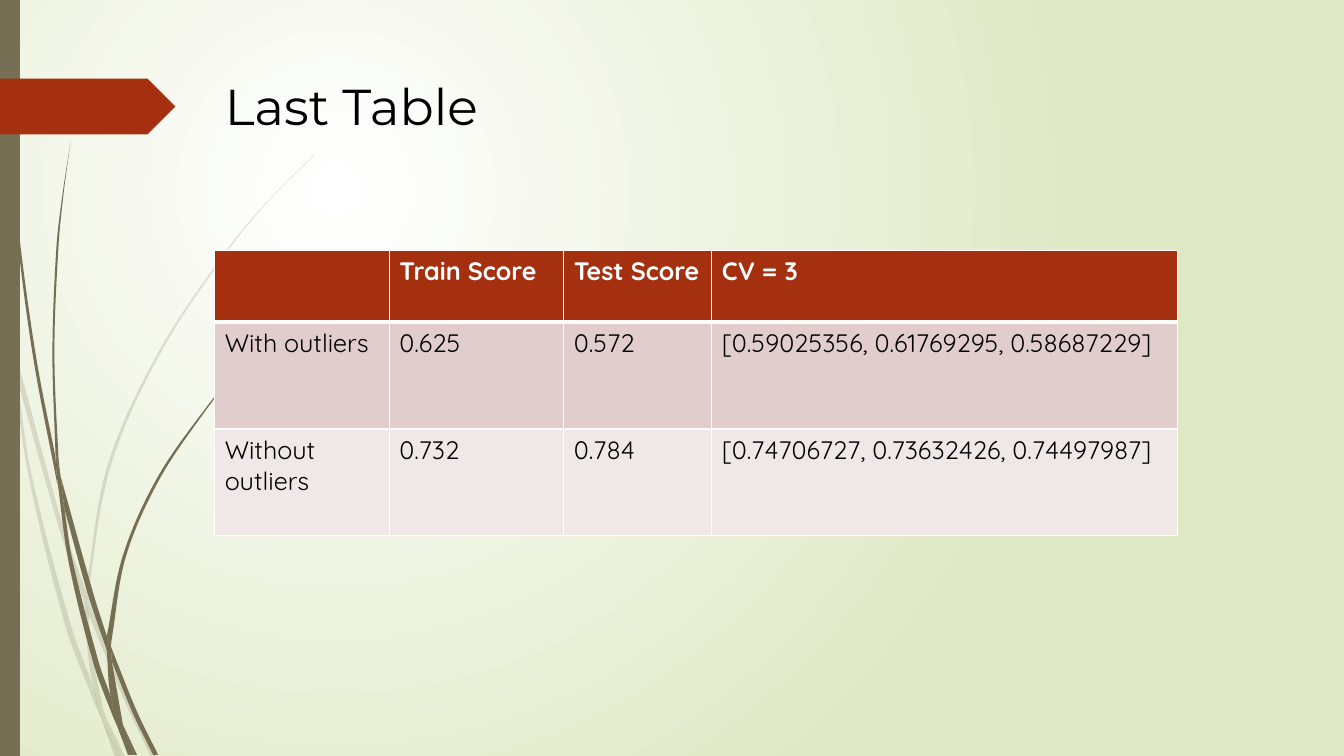
import math
from dataclasses import dataclass

from lxml import etree
from pptx import Presentation
from pptx.dml.color import RGBColor
from pptx.enum.shapes import MSO_SHAPE
from pptx.enum.text import MSO_ANCHOR, MSO_AUTO_SIZE, PP_ALIGN
from pptx.oxml.ns import qn
from pptx.util import Cm, Pt

RECTANGLE = MSO_SHAPE.RECTANGLE
ARROW = MSO_SHAPE.PENTAGON
TOP = MSO_ANCHOR.TOP
LEFT = PP_ALIGN.LEFT
GROW = MSO_AUTO_SIZE.SHAPE_TO_FIT_TEXT
TITLE_ONLY = 5
SLIDE_WIDTH, SLIDE_HEIGHT = 33.87, 19.05
GRASS_UNIT = 2.54  # centimetres per unit of the grass points


@dataclass(frozen=True)
class Theme:
    text: str = "000000"
    white: str = "FFFFFF"
    background: str = "DFE8C4"
    olive: str = "766F54"
    rust: str = "A53010"
    bands: tuple = ("E1CDCC", "F0E8E7")
    title_font: str = "Montserrat"
    body_font: str = "Quicksand"
    title_size: int = 36
    body_size: int = 18


# Grass pieces: two smooth edges each, walked around the outline
PALE_GRASS = [
    ([(0.11, 3.5), (0.09, 3.22), (0, 2.82)], [(0, 2.99), (0.1, 3.44)]),
    ([(0.17, 3.76), (0.58, 5.22), (0.84, 5.99)], [(0.85, 5.86), (0.62, 5.2), (0.14, 3.45)]),
    ([(0.88, 6.1), (1.23, 6.94), (1.5, 7.51)],
     [(1.55, 7.51), (1.27, 6.92), (0.92, 6.07), (0.88, 5.96)]),
    ([(1.05, 7.11), (1.19, 7.51)], [(1.24, 7.51)]),
    ([(0.11, 3.5), (0.28, 4.7), (0.65, 6.21), (0.92, 6.93), (1.01, 7.14)],
     [(0.99, 7.07), (0.93, 6.83), (0.7, 6.19), (0.31, 4.69), (0.17, 3.76)]),
    ([(0.84, 5.99), (0.87, 6.46), (0.93, 6.83), (1.05, 7.11)],
     [(1.03, 7.06), (0.91, 6.46), (0.88, 6.08)]),
    ([(3.12, 1.53), (2.68, 1.97), (2.28, 2.44), (1.58, 3.48), (1.07, 4.61), (0.85, 5.86)],
     [(0.88, 5.96), (0.88, 5.84), (1.1, 4.62), (1.6, 3.49), (2.29, 2.45), (2.68, 1.98),
      (3.12, 1.54)]),
    ([(1.01, 7.14), (1.14, 7.51)], [(1.19, 7.51)]),
    ([(0.85, 5.86), (0.84, 5.99)], [(0.88, 6.1), (0.88, 5.96)]),
    ([(0.93, 6.83), (1.01, 7.14), (1.19, 7.51)], [(1.05, 7.11), (0.96, 6.92)]),
]
DARK_GRASS = [
    ([(0.03, 0), (0.04, 0.48), (0.07, 1.1), (0.17, 2.33), (0.33, 3.55), (0.57, 4.81)],
     [(0.55, 4.53), (0.36, 3.55), (0.19, 2.32), (0.08, 1.09), (0.05, 0.48), (0.04, 0)]),
    ([(0.64, 5.05), (0.88, 5.92), (1.06, 6.45)], [(1.06, 6.31), (0.93, 5.9), (0.6, 4.72)]),
    ([(1.11, 6.56), (1.32, 7.08), (1.52, 7.49)],
     [(1.57, 7.49), (1.36, 7.06), (1.13, 6.49), (1.1, 6.41)]),
    ([(0.57, 4.77), (0.68, 5.57), (0.93, 6.59), (1.11, 7.08), (1.17, 7.22)],
     [(1.1, 6.91), (0.98, 6.57), (0.72, 5.56), (0.64, 5.05)]),
    ([(0.7, 1.41), (0.62, 1.93), (0.56, 2.45), (0.52, 3.49), (0.55, 4.49)],
     [(0.6, 4.72), (0.58, 4.53), (0.54, 3.49), (0.58, 2.45), (0.63, 1.93), (0.7, 1.41)]),
    ([(1.22, 7.19), (1.33, 7.49)], [(1.36, 7.49)]),
    ([(0.55, 4.49), (0.57, 4.77), (0.64, 5.05)], [(0.6, 4.72)]),
    ([(2.6, 3.44), (2.31, 3.73), (2.04, 4.05), (1.56, 4.74), (1.22, 5.51), (1.06, 6.31)],
     [(1.1, 6.41), (1.11, 6.33), (1.25, 5.52), (1.58, 4.76), (2.05, 4.06), (2.31, 3.74),
      (2.61, 3.44)]),
    ([(1.17, 7.22), (1.27, 7.49)], [(1.31, 7.49)]),
    ([(1.06, 6.45), (1.1, 6.91), (1.22, 7.19)], [(1.11, 6.56), (1.09, 6.51)]),
    ([(1.06, 6.31), (1.06, 6.45)], [(1.11, 6.56), (1.1, 6.41)]),
    ([(1.1, 6.91), (1.17, 7.22), (1.3, 7.49)], [(1.33, 7.49), (1.22, 7.19), (1.16, 7.06)]),
]

SCORES = [
    ["", "Train Score", "Test Score", "CV = 3"],
    ["With outliers", "0.625", "0.572", "[0.59025356, 0.61769295, 0.58687229]"],
    ["Without outliers", "0.732", "0.784", "[0.74706727, 0.73632426, 0.74497987]"],
]


def edge_controls(edge):
    """Bezier control points for each segment of a smooth edge."""
    padded = [edge[0], *edge, edge[-1]]
    for before, start, end, after in zip(padded, padded[1:], padded[2:], padded[3:]):
        reach = math.dist(start, end) / 3
        first, second = reach / math.dist(before, end), reach / math.dist(start, after)
        yield ([s + (e - b) * first for b, s, e in zip(before, start, end)],
               [e - (a - s) * second for s, e, a in zip(start, end, after)])


class SlideBuilder:
    def __init__(self, slide, theme):
        self.slide = slide
        self.theme = theme

    def background(self):
        fill = self.slide.background.fill
        fill.gradient()
        for stop, color in zip(fill.gradient_stops,
                               (self.theme.white, self.theme.background)):
            stop.color.rgb = RGBColor.from_string(color)
        # Radial gradient around the upper left
        gradient = self.slide.element.find(".//" + qn("a:gradFill"))
        gradient.remove(gradient.find(qn("a:lin")))
        circle = etree.SubElement(gradient, qn("a:path"), {"path": "circle"})
        etree.SubElement(circle, qn("a:fillToRect"),
                         dict(l="50000", t="50000", r="100000", b="100000"))

    def paint(self, shape, color, opacity=100):
        shape.shadow.inherit = False
        shape.fill.solid()
        shape.fill.fore_color.rgb = RGBColor.from_string(color)
        shape.line.fill.background()
        if opacity < 100:
            color_element = shape.element.spPr.find(".//" + qn("a:srgbClr"))
            etree.SubElement(color_element, qn("a:alpha"), val=str(opacity * 1000))

    def preset(self, kind, left, top, width, height, color):
        shape = self.slide.shapes.add_shape(
            kind, Cm(left), Cm(top), Cm(width), Cm(height))
        self.paint(shape, color)

    def grass(self, pieces, opacity):
        group = self.slide.shapes.add_group_shape()
        for piece in pieces:
            first, second = [[(Cm(x * GRASS_UNIT), Cm(y * GRASS_UNIT)) for x, y in edge]
                             for edge in piece]
            outline = first + second
            builder = group.shapes.build_freeform(*outline[0], scale=1.0)
            builder.add_line_segments(outline[1:], close=True)
            shape = builder.convert_to_shape()
            self.paint(shape, self.theme.olive, opacity)
            # Bend the segments along both edges; the joint between them stays straight
            controls = [*edge_controls(first), None, *edge_controls(second)]
            for segment, pair in zip(list(shape.element.iter(qn("a:lnTo"))), controls):
                if pair:
                    segment.tag = qn("a:cubicBezTo")
                    for index, (x, y) in enumerate(pair):
                        point = etree.Element(qn("a:pt"), x=str(round(x - shape.left)),
                                              y=str(round(y - shape.top)))
                        segment.insert(index, point)

    def style_runs(self, paragraph, font_name, size, color, bold=False):
        for run in paragraph.runs:
            run.font.name = font_name
            run.font.size = Pt(size)
            run.font.bold = bold
            run.font.color.rgb = RGBColor.from_string(color)

    def title(self, text, left, top, width, height):
        title = self.slide.shapes.title
        title.left, title.top = Cm(left), Cm(top)
        title.width, title.height = Cm(width), Cm(height)
        frame = title.text_frame
        frame.text = text
        frame.word_wrap = True
        frame.auto_size = GROW
        frame.vertical_anchor = TOP
        frame.paragraphs[0].alignment = LEFT
        self.style_runs(frame.paragraphs[0], self.theme.title_font,
                        self.theme.title_size, self.theme.text)

    def cell_borders(self, cell, widths):
        properties = cell._tc.get_or_add_tcPr()
        for side, width in widths.items():
            line = etree.SubElement(properties, qn("a:ln" + side), w=str(Pt(width)))
            fill = etree.SubElement(line, qn("a:solidFill"))
            etree.SubElement(fill, qn("a:srgbClr"), val=self.theme.white)

    def table(self, rows, left, top, column_widths, row_heights):
        table = self.slide.shapes.add_table(
            len(rows), len(column_widths), Cm(left), Cm(top),
            Cm(sum(column_widths)), Cm(sum(row_heights))).table
        for column, width in zip(table.columns, column_widths):
            column.width = Cm(width)
        for row, height in zip(table.rows, row_heights):
            row.height = Cm(height)
        fills = (self.theme.rust, *self.theme.bands)
        for row_index, row in enumerate(rows):
            header = row_index == 0
            widths = dict(L=1, R=1, T=3 if row_index == 1 else 1, B=3 if header else 1)
            for column_index, text in enumerate(row):
                cell = table.cell(row_index, column_index)
                self.cell_borders(cell, widths)
                cell.fill.solid()
                cell.fill.fore_color.rgb = RGBColor.from_string(fills[row_index])
                cell.text_frame.text = text
                self.style_runs(cell.text_frame.paragraphs[0], self.theme.body_font,
                                self.theme.body_size,
                                self.theme.white if header else self.theme.text, header)


def main():
    presentation = Presentation()
    presentation.slide_width = Cm(SLIDE_WIDTH)
    presentation.slide_height = Cm(SLIDE_HEIGHT)
    slide = presentation.slides.add_slide(presentation.slide_layouts[TITLE_ONLY])
    theme = Theme()
    builder = SlideBuilder(slide, theme)

    # Backdrop
    builder.background()
    builder.grass(PALE_GRASS, 20)
    builder.grass(DARK_GRASS, 100)
    builder.preset(RECTANGLE, 0, 0, 0.5, SLIDE_HEIGHT, theme.olive)
    builder.preset(ARROW, 0, 1.98, 4.42, 1.41, theme.rust)

    # Content
    builder.title("Last Table", 5.41, 1.76, 17.12, 1.8)
    builder.table(SCORES, 5.41, 6.31, [4.4, 4.4, 3.73, 11.73], [1.8, 2.7, 2.69])

    presentation.save("out.pptx")


if __name__ == "__main__":
    main()
